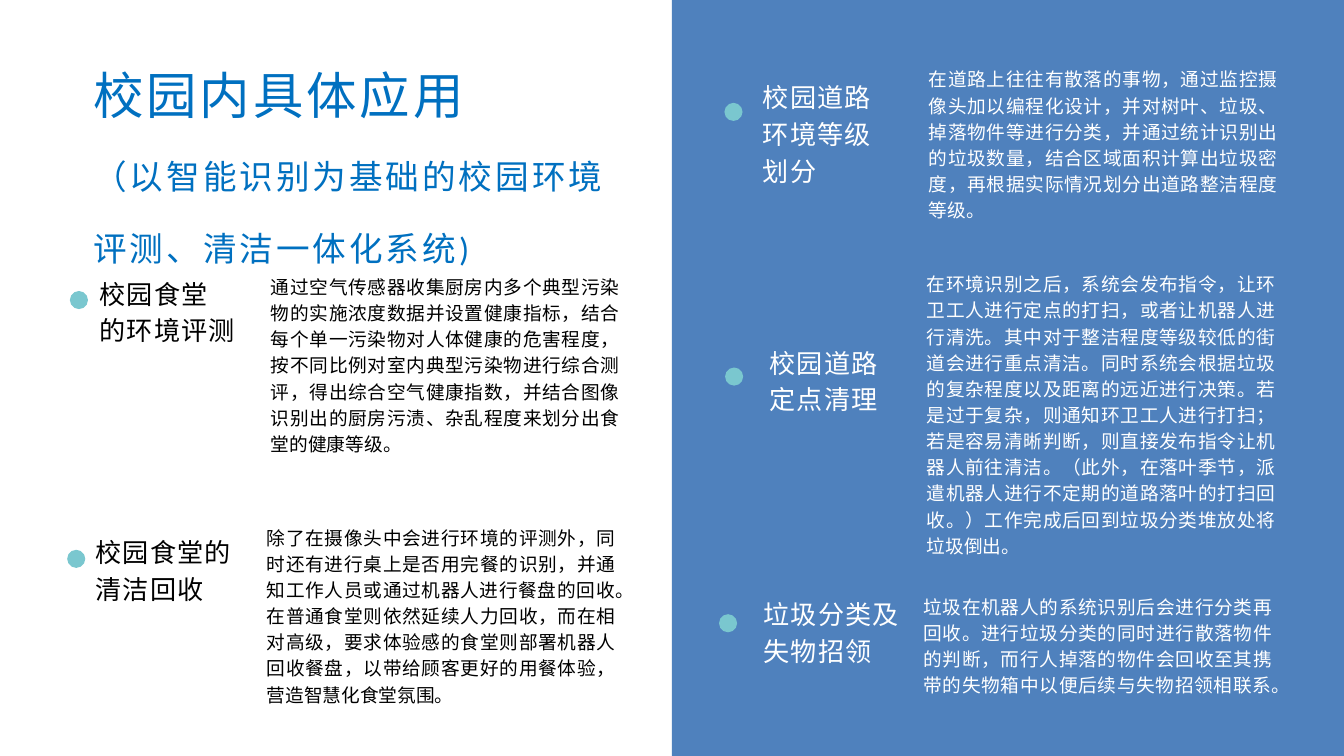
from pptx import Presentation
from pptx.dml.color import RGBColor
from pptx.enum import shapes, text
from pptx.util import Pt

BLUE, TEAL, TITLE = "4F81BD", "7AC7CF", "0070C0"
BLACK, WHITE = "000000", "FFFFFF"
DOT, BODY_W = 19.4, 373.7
LABEL_LINE, BODY_LINE = 39.2, 28

# Dot place; label place, width, lines, text; body place, lines, text; colour
TOPICS = [
    ((74.9, 311.8), (106.6, 292.3, 149.8, 2, ["校园食堂", "的环境评测"]),
     (290.2, 291.6, 7,
      "通过空气传感器收集厨房内多个典型污染物的实施浓度数据并设置健康指标，"
      "结合每个单一污染物对人体健康的危害程度，按不同比例对室内典型污染物进行综合测评，"
      "得出综合空气健康指数，并结合图像识别出的厨房污渍、杂乱程度来划分出食堂的健康等级。"),
     BLACK),
    ((72, 589.1), (102.2, 569.5, 156.2, 2, ["校园食堂的清洁回收"]),
     (285.8, 560.2, 7,
      "除了在摄像头中会进行环境的评测外，同时还有进行桌上是否用完餐的识别，"
      "并通知工作人员或通过机器人进行餐盘的回收。在普通食堂则依然延续人力回收，"
      "而在相对高级，要求体验感的食堂则部署机器人回收餐盘，"
      "以带给顾客更好的用餐体验，营造智慧化食堂氛围。"),
     BLACK),
    ((776.2, 110.2),
     (817.2, 82.1, 170.6, 3, ["校园道路", "环境等级", "划分"]),
     (995, 69.1, 6,
      "在道路上往往有散落的事物，通过监控摄像头加以编程化设计，"
      "并对树叶、垃圾、掉落物件等进行分类，并通过统计识别出的垃圾数量，"
      "结合区域面积计算出垃圾密度，再根据实际情况划分出道路整洁程度等级。"),
     WHITE),
    ((776.9, 393.8), (824.4, 366.5, 170.6, 2, ["校园道路", "定点清理"]),
     (992.9, 288.7, 11,
      "在环境识别之后，系统会发布指令，让环卫工人进行定点的打扫，或者让机器人进行清洗。"
      "其中对于整洁程度等级较低的街道会进行重点清洁。"
      "同时系统会根据垃圾的复杂程度以及距离的远近进行决策。"
      "若是过于复杂，则通知环卫工人进行打扫；若是容易清晰判断，则直接发布指令让机器人前往清洁。"
      "（此外，在落叶季节，派遣机器人进行不定期的道路落叶的打扫回收。）"
      "工作完成后回到垃圾分类堆放处将垃圾倒出。"),
     WHITE),
    ((770.4, 658.1), (817.9, 635.8, 170.6, 2, ["垃圾分类及失物招领"]),
     (989.3, 634.3, 4,
      "垃圾在机器人的系统识别后会进行分类再回收。"
      "进行垃圾分类的同时进行散落物件的判断，"
      "而行人掉落的物件会回收至其携带的失物箱中以便后续与失物招领相联系。"),
     WHITE),
]


def tint(code):
    return RGBColor.from_string(code)


def add_fill(slide, kind, x, y, w, h, code):
    shape = slide.shapes.add_shape(kind, Pt(x), Pt(y), Pt(w), Pt(h))
    shape.shadow.inherit = False
    shape.fill.solid()
    shape.fill.fore_color.rgb = tint(code)
    shape.line.fill.background()


def add_text(slide, x, y, w, h, lines, code, pitch, space=0, align=None,
             grow=True):
    """Lines are (text, size) pairs, one paragraph each."""
    frame = slide.shapes.add_textbox(Pt(x), Pt(y), Pt(w), Pt(h)).text_frame
    frame.margin_left = frame.margin_right = 0
    frame.margin_top = frame.margin_bottom = 0
    frame.word_wrap = True
    if grow:
        frame.auto_size = text.MSO_AUTO_SIZE.SHAPE_TO_FIT_TEXT
    for i, (words, size) in enumerate(lines):
        para = frame.add_paragraph() if i else frame.paragraphs[0]
        para.line_spacing = Pt(pitch)
        para.alignment = align
        run = para.add_run()
        run.text = words
        run.font.name = "Calibri"
        run.font.size = Pt(size)
        run.font.color.rgb = tint(code)
        if space:
            run.font._element.set("spc", str(round(space * 100)))


def add_topic(slide, dot, label, body, code):
    add_fill(slide, shapes.MSO_SHAPE.OVAL, *dot, DOT, DOT, TEAL)
    x, y, w, rows, lines = label
    add_text(slide, x, y, w, rows * LABEL_LINE - 2,
             [(line, 28) for line in lines], code, LABEL_LINE, space=1.4)
    x, y, rows, words = body
    add_text(slide, x, y, BODY_W, rows * BODY_LINE, [(words, 20)], code,
             BODY_LINE, align=text.PP_ALIGN.JUSTIFY)


def main():
    deck = Presentation()
    deck.slide_width, deck.slide_height = Pt(1440), Pt(810)
    slide = deck.slides.add_slide(deck.slide_layouts[6])

    # Right-hand panel, bleeding past the edges
    add_fill(slide, shapes.MSO_SHAPE.RECTANGLE, 720, -20, 729, 848, BLUE)

    # Title
    add_text(slide, 100, 57, 564, 204,
             [("校园内具体应用", 54),
              ("（以智能识别为基础的校园环境评测、清洁一体化系统)", 36)],
             TITLE, 76.8, space=3.2, grow=False)

    # Topics
    for topic in TOPICS:
        add_topic(slide, *topic)

    deck.save("out.pptx")


if __name__ == "__main__":
    main()
